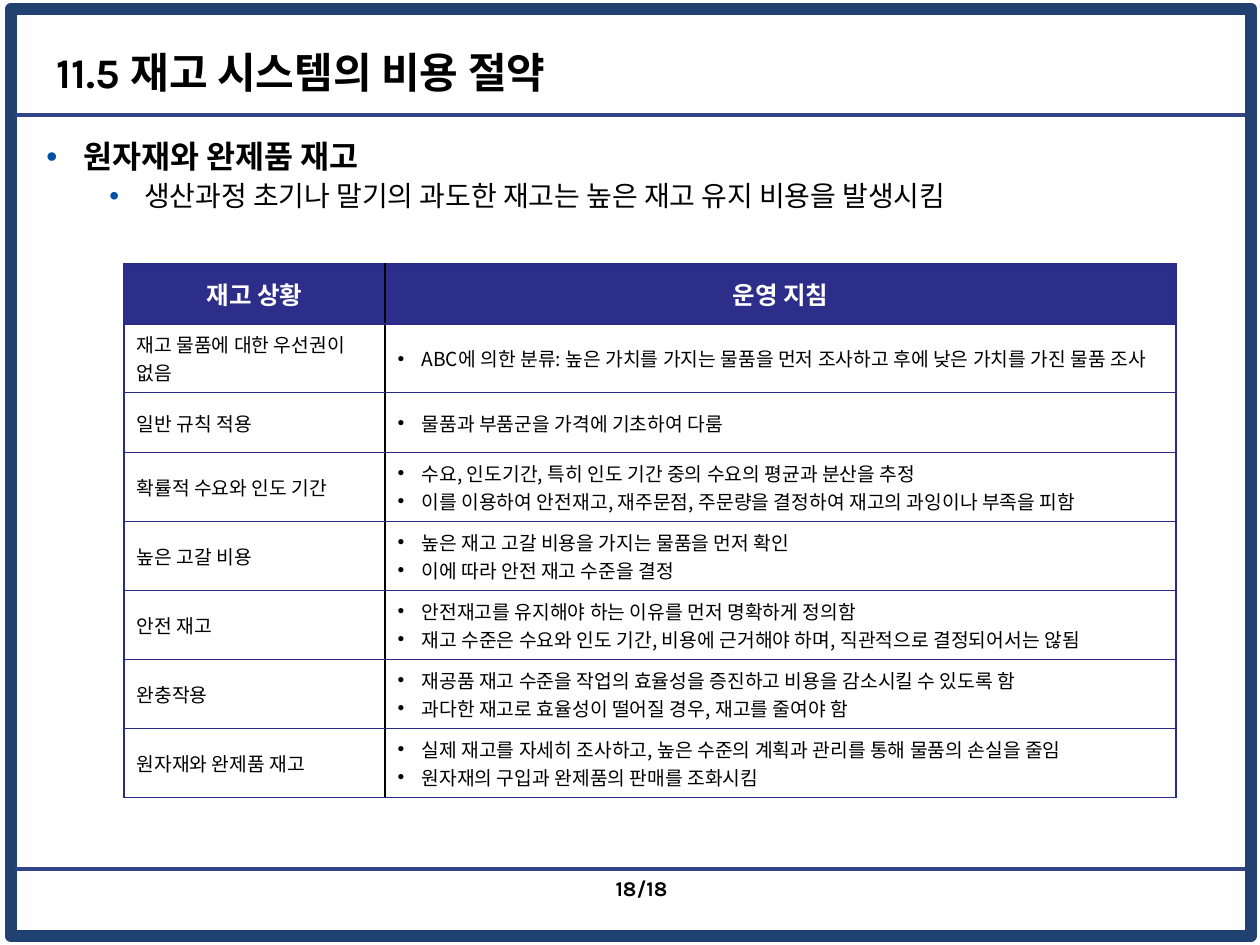
import pptx
import pptx.util
import pptx.dml.color
import pptx.enum.shapes
import pptx.enum.text
import pptx.oxml
import pptx.oxml.ns
from lxml import etree

PX = 914400 // 126
RGBColor = pptx.dml.color.RGBColor
FRAME = RGBColor(0x21, 0x41, 0x71)
RULE = RGBColor(0x31, 0x44, 0x86)
BULLET = RGBColor(0x00, 0x51, 0xA2)
HEADER = RGBColor(0x2D, 0x2D, 0x8A)
GRID = RGBColor(0x2A, 0x2A, 0x89)
BLACK = RGBColor(0, 0, 0)
WHITE = RGBColor(0xFF, 0xFF, 0xFF)
ALIGN = pptx.enum.text.PP_ALIGN
MIDDLE = pptx.enum.text.MSO_ANCHOR.MIDDLE
LATIN = "Karla"
KOREAN = "Noto Sans CJK KR"

HEADINGS = ["재고 상황", "운영 지침"]
GUIDELINES = [
    ("재고 물품에 대한 우선권이 없음",
     ["ABC에 의한 분류: 높은 가치를 가지는 물품을 먼저 조사하고 후에 낮은 가치를 가진 물품 조사"]),
    ("일반 규칙 적용", ["물품과 부품군을 가격에 기초하여 다룸"]),
    ("확률적 수요와 인도 기간",
     ["수요, 인도기간, 특히 인도 기간 중의 수요의 평균과 분산을 추정",
      "이를 이용하여 안전재고, 재주문점, 주문량을 결정하여 재고의 과잉이나 부족을 피함"]),
    ("높은 고갈 비용",
     ["높은 재고 고갈 비용을 가지는 물품을 먼저 확인",
      "이에 따라 안전 재고 수준을 결정"]),
    ("안전 재고",
     ["안전재고를 유지해야 하는 이유를 먼저 명확하게 정의함",
      "재고 수준은 수요와 인도 기간, 비용에 근거해야 하며, 직관적으로 결정되어서는 않됨"]),
    ("완충작용",
     ["재공품 재고 수준을 작업의 효율성을 증진하고 비용을 감소시킬 수 있도록 함",
      "과다한 재고로 효율성이 떨어질 경우, 재고를 줄여야 함"]),
    ("원자재와 완제품 재고",
     ["실제 재고를 자세히 조사하고, 높은 수준의 계획과 관리를 통해 물품의 손실을 줄임",
      "원자재의 구입과 완제품의 판매를 조화시킴"]),
]
COLUMNS = [261, 791]
SHORT_ROW, TALL_ROW = 60, 69


def px(*lengths):
    return [n * PX for n in lengths]


def child(parent, tag, **attrs):
    return etree.SubElement(parent, pptx.oxml.ns.qn(tag), attrs)


def format_text(p, size, color, bold=False, font=LATIN):
    for r in p.runs:
        r.font.size = pptx.util.Pt(size)
        r.font.bold = bold
        r.font.name = font
        r.font.color.rgb = color
        child(r.font._element, "a:ea", typeface=KOREAN)


def add_bullet(p, left, hanging, color=BLACK):
    pPr = p._p.get_or_add_pPr()
    pPr.set("marL", str(left * PX))
    pPr.set("indent", str(-hanging * PX))
    child(child(pPr, "a:buClr"), "a:srgbClr", val=str(color))
    child(pPr, "a:buFont", typeface="Arial")
    child(pPr, "a:buChar", char="•")


def add_frame(slide):
    sp = slide.shapes.add_shape(
        pptx.enum.shapes.MSO_SHAPE.RECTANGLE, *px(11, 9, 1240, 927))
    sp.shadow.inherit = False
    sp.fill.background()
    sp.line.color.rgb = FRAME
    sp.line.width = pptx.util.Pt(7)


def add_rule(slide, y):
    line = slide.shapes.add_connector(
        pptx.enum.shapes.MSO_CONNECTOR.STRAIGHT, *px(15, y, 1245, y))
    line.line.color.rgb = RULE
    line.line.width = pptx.util.Pt(2)
    child(line._element.spPr, "a:effectLst")


def add_text(slide, box, text, size, align=ALIGN.LEFT):
    tf = slide.shapes.add_textbox(*px(*box)).text_frame
    tf.word_wrap = True
    tf.vertical_anchor = MIDDLE
    p = tf.paragraphs[0]
    p.text = text
    p.alignment = align
    format_text(p, size, BLACK, bold=True)


def add_body(slide):
    tf = slide.shapes.add_textbox(*px(34, 135, 1162, 110)).text_frame
    tf.word_wrap = True
    tf.text = ("원자재와 완제품 재고\n"
               "생산과정 초기나 말기의 과도한 재고는 높은 재고 유지 비용을 발생시킴")
    styles = [(18, True, 37, 37), (16, False, 98, 35)]
    for level, (p, style) in enumerate(zip(tf.paragraphs, styles)):
        size, bold, left, hanging = style
        p.level = level
        p.space_before = pptx.util.Pt(4)
        p.line_spacing = 0.9
        add_bullet(p, left, hanging, BULLET)
        format_text(p, size, BLACK, bold)


def set_borders(cell, column):
    divider = (BLACK, 1)
    edge = (GRID, 0.75)
    sides = {"L": divider if column else edge,
             "R": edge if column else divider,
             "T": edge, "B": edge}
    tcPr = cell._tc.get_or_add_tcPr()
    for i, (side, (color, width)) in enumerate(sides.items()):
        ln = pptx.oxml.parse_xml(
            f'<a:ln{side} {pptx.oxml.ns.nsdecls("a")} w="{int(width * 12700)}">'
            f'<a:solidFill><a:srgbClr val="{color}"/></a:solidFill></a:ln{side}>')
        tcPr.insert(i, ln)


def fill_cell(cell, column, lines, header):
    cell.text_frame.text = "\n".join(lines)
    cell.vertical_anchor = MIDDLE
    cell.fill.solid()
    cell.fill.fore_color.rgb = HEADER if header else WHITE
    for p in cell.text_frame.paragraphs:
        if header:
            p.alignment = ALIGN.CENTER
            format_text(p, 14, WHITE, bold=True, font=KOREAN)
        else:
            if column:
                add_bullet(p, 24, 24)
            format_text(p, 11, BLACK, font=KOREAN)
    set_borders(cell, column)


def add_guideline_table(slide):
    rows = [[[h] for h in HEADINGS]] + [[[s], g] for s, g in GUIDELINES]
    heights = [SHORT_ROW, TALL_ROW, SHORT_ROW] + [TALL_ROW] * 5
    table = slide.shapes.add_table(
        len(rows), len(COLUMNS),
        *px(124, 264, sum(COLUMNS), sum(heights))).table
    for col, width in zip(table.columns, px(*COLUMNS)):
        col.width = width
    for i, (row, height) in enumerate(zip(rows, px(*heights))):
        table.rows[i].height = height
        for j, lines in enumerate(row):
            fill_cell(table.cell(i, j), j, lines, header=i == 0)


def main():
    prs = pptx.Presentation()
    prs.slide_width, prs.slide_height = px(1260, 945)
    slide = prs.slides.add_slide(prs.slide_layouts[6])
    add_frame(slide)
    for y in (115, 869):
        add_rule(slide, y)
    add_text(slide, (580, 869, 100, 38), "18/18", 12, ALIGN.RIGHT)
    add_text(slide, (44, 38, 983, 68), "11.5 재고 시스템의 비용 절약", 24)
    add_body(slide)
    add_guideline_table(slide)
    prs.save("out.pptx")


if __name__ == "__main__":
    main()
